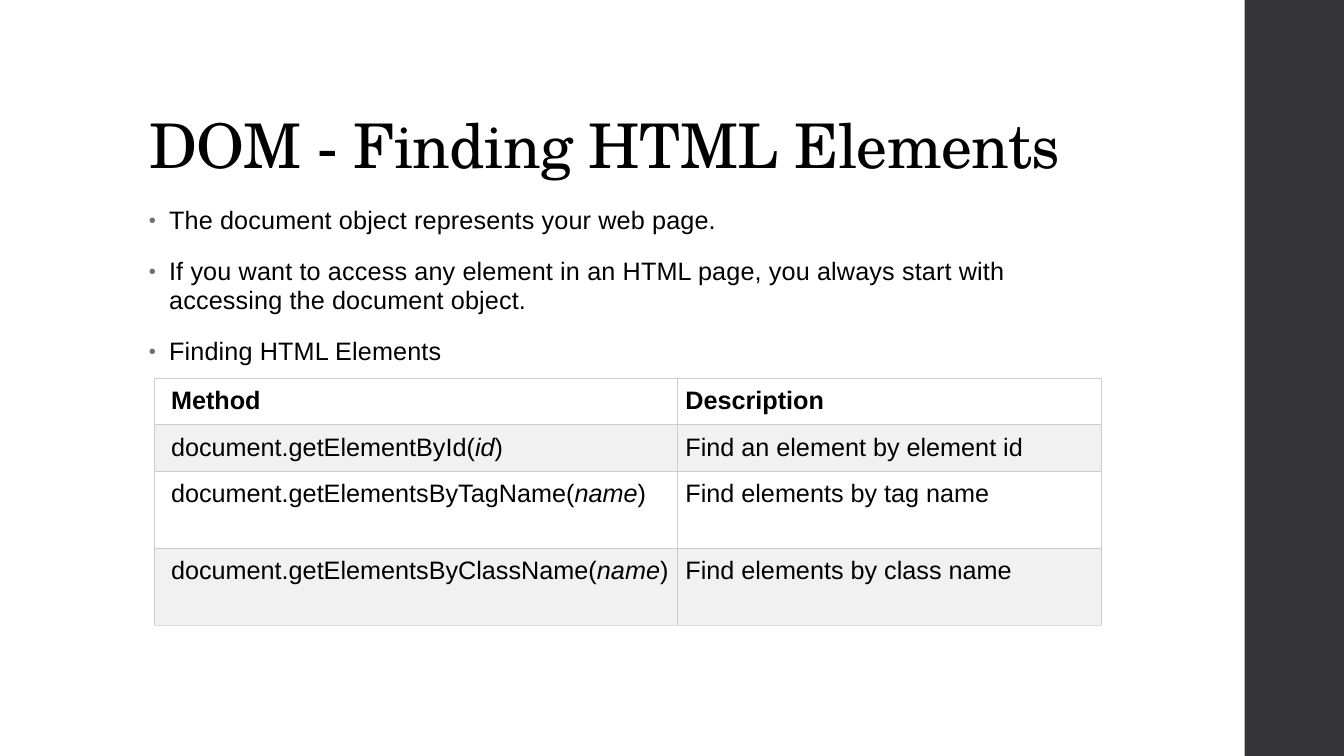
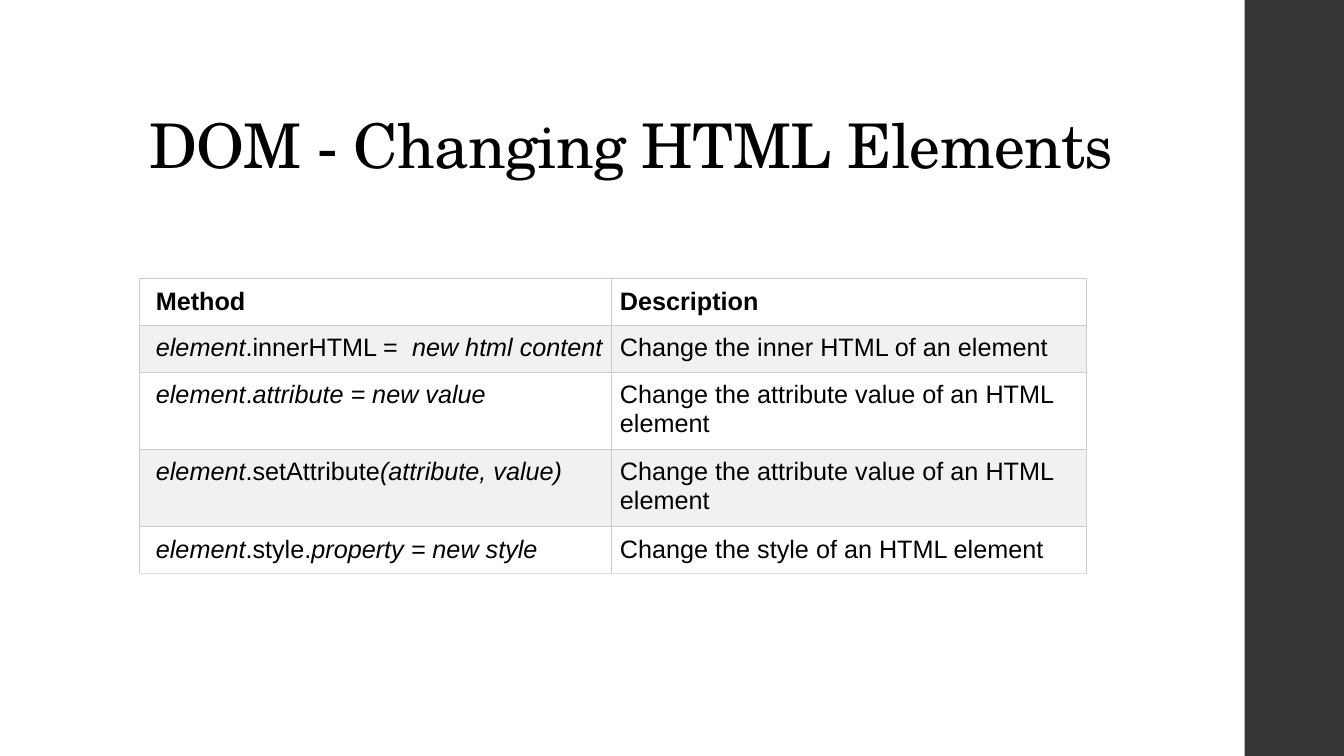
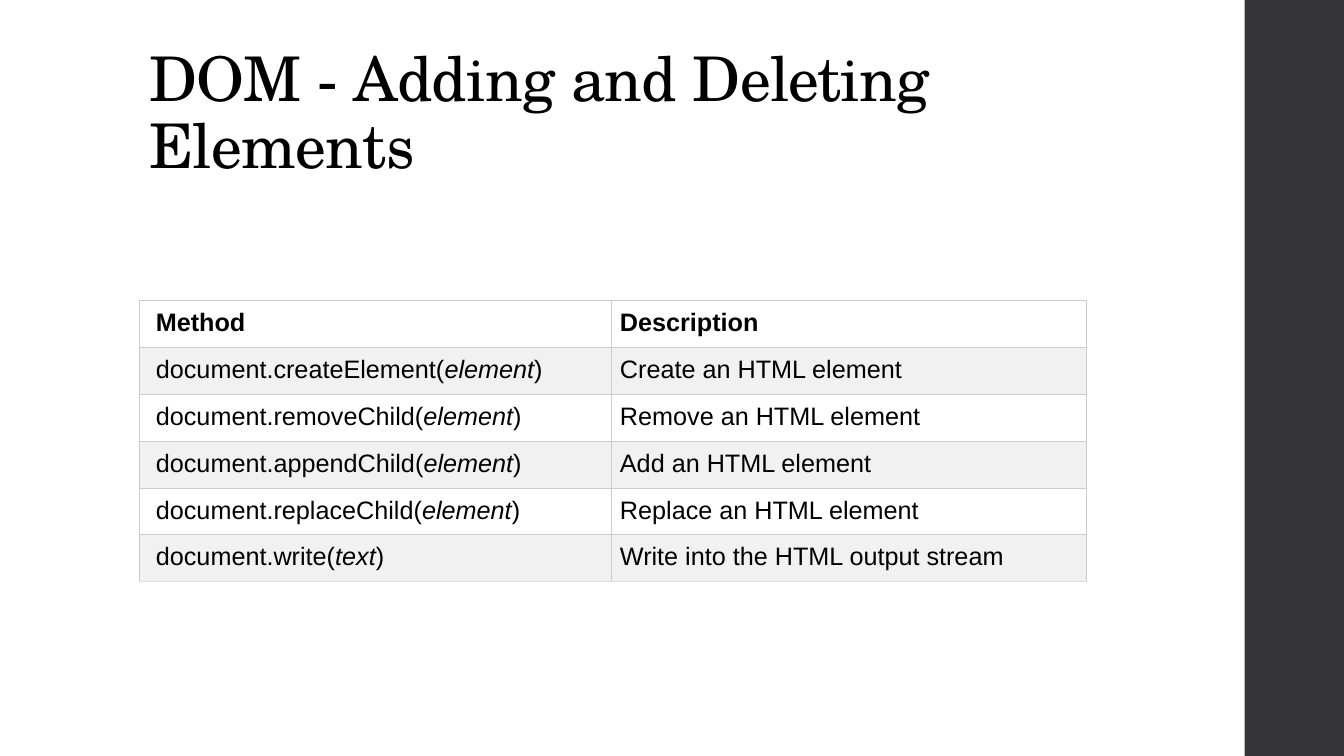
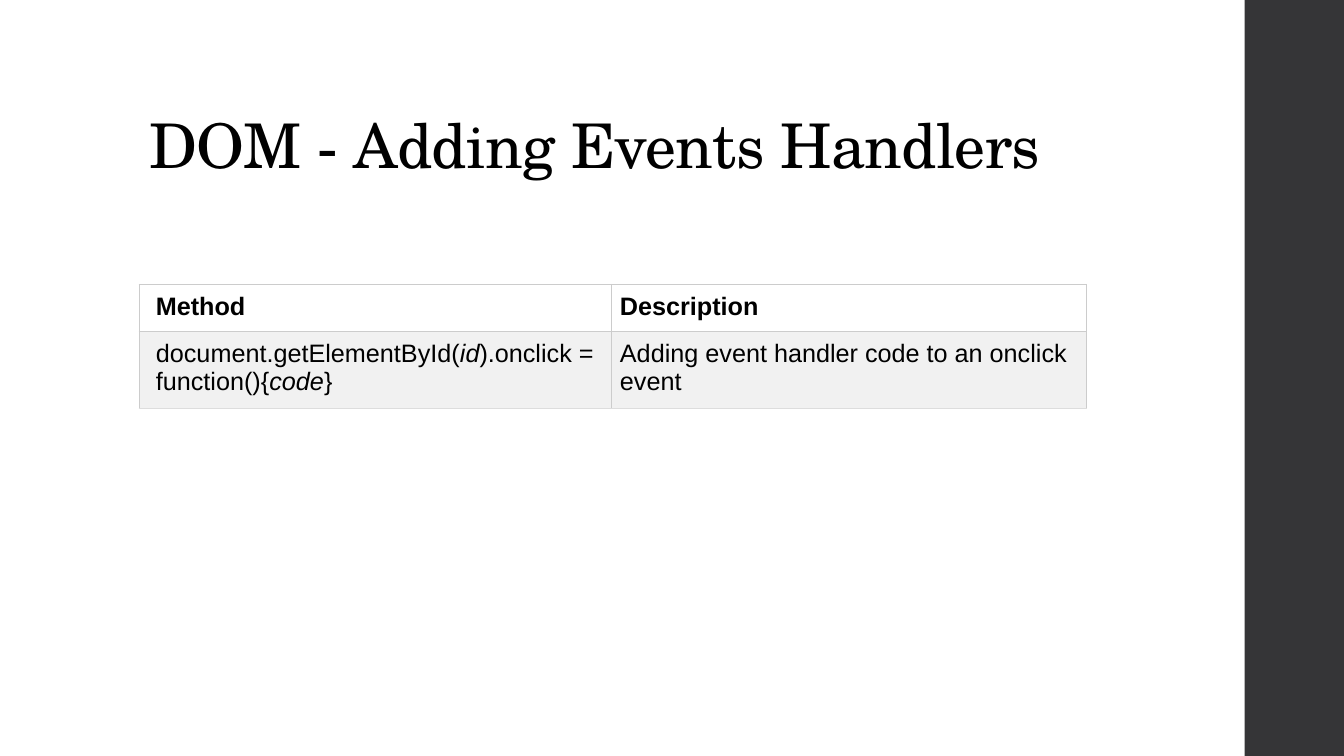
from lxml.etree import SubElement
from pptx import Presentation
from pptx.dml.color import RGBColor
from pptx.enum.shapes import MSO_SHAPE
from pptx.enum.text import MSO_ANCHOR
from pptx.oxml.ns import qn
from pptx.util import Inches, Pt


def colour(code):
    """Turn a hex string into a colour."""
    return RGBColor.from_string(code)


class Deck:
    """Hold the style and the current page; lengths are columns and rows of a 100 by 100 grid."""

    INK, PAPER, STRIPE, BAND = "000000", "FFFFFF", "F1F1F1", "353537"
    BULLET, BORDER, LAST_BORDER = "6F6F74", "CCCCCC", "DDDDDD"
    TITLE_FONT, BODY_FONT = "TeX Gyre Schola", "Arial"
    LEFT, TABLE_WIDTH = 10.35, 70.5
    ROW_HEIGHTS = {1: 6.2, 2: 10.2}

    def __init__(self):
        """Open an empty widescreen presentation."""
        self.deck = Presentation()
        self.deck.slide_width, self.deck.slide_height = Inches(13.33), Inches(7.5)
        self.page = None

    def across(self, columns):
        """Length of a number of columns."""
        return round(self.deck.slide_width * columns / 100)

    def down(self, rows):
        """Length of a number of rows."""
        return round(self.deck.slide_height * rows / 100)

    def area(self, left, top, width, height):
        """Place and size of an element on the grid."""
        return self.across(left), self.down(top), self.across(width), self.down(height)

    def add_page(self, title):
        """Start a page with its side band and title."""
        self.page = self.deck.slides.add_slide(self.deck.slide_layouts[6])
        band = self.page.shapes.add_shape(MSO_SHAPE.RECTANGLE, *self.area(92.6, 0, 7.4, 100))
        band.shadow.inherit = False
        band.fill.solid()
        band.fill.fore_color.rgb = colour(self.BAND)
        band.line.fill.background()
        frame = self.add_box(self.LEFT, 5.33, 79.5, 19.33)
        frame.vertical_anchor = MSO_ANCHOR.BOTTOM
        para = frame.paragraphs[0]
        para.line_spacing = 0.9
        self.add_span(para, title, 44, self.TITLE_FONT, spacing=-50)

    def add_box(self, left, top, width, height):
        """Add a wrapping text box and return its frame."""
        frame = self.page.shapes.add_textbox(*self.area(left, top, width, height)).text_frame
        frame.word_wrap = True
        return frame

    def add_span(self, para, text, size=18, font=BODY_FONT, bold=False, italic=False, spacing=0):
        """Add one run of text; spacing is in hundredths of a point."""
        span = para.add_run()
        span.text = text
        span.font.size, span.font.name = Pt(size), font
        span.font.bold, span.font.italic = bold, italic
        span.font.color.rgb = colour(self.INK)
        if spacing:
            span.font._element.set("spc", str(spacing))

    def add_bullets(self, lines):
        """Add the bulleted body text."""
        frame = self.add_box(self.LEFT, 26.67, self.TABLE_WIDTH, 63.47)
        for index, line in enumerate(lines):
            para = frame.add_paragraph() if index else frame.paragraphs[0]
            para.line_spacing = 0.95
            para.space_before, para.space_after = Pt(14 if index else 0), Pt(2)
            props = para._p.get_or_add_pPr()
            indent = self.across(1.5)
            props.set("marL", str(indent))
            props.set("indent", str(-indent))
            SubElement(SubElement(props, qn("a:buClr")), qn("a:srgbClr"), val=self.BULLET)
            SubElement(props, qn("a:buSzPct"), val="80000")
            SubElement(props, qn("a:buFont"), typeface=self.BODY_FONT)
            SubElement(props, qn("a:buChar"), char="•")
            self.add_span(para, line, spacing=10)

    def add_borders(self, cell, last):
        """Draw the four thin borders of a cell."""
        props = cell._tc.get_or_add_tcPr()
        for side in "LRTB":
            border = SubElement(props, qn(f"a:ln{side}"), w=str(Pt(0.75)))
            shade = self.LAST_BORDER if last and side == "B" else self.BORDER
            SubElement(SubElement(border, qn("a:solidFill")), qn("a:srgbClr"), val=shade)

    def add_methods(self, top, rows, left=LEFT, first_width=35.18):
        """Add a table of methods, each row a method, a description and its count of lines."""
        rows = [("Method", "Description", 1), *rows]
        heights = [self.ROW_HEIGHTS[lines] for _, _, lines in rows]
        place = self.area(left, top, self.TABLE_WIDTH, sum(heights))
        table = self.page.shapes.add_table(len(rows), 2, *place).table
        table.first_row = table.horz_banding = False
        table.columns[0].width = self.across(first_width)
        table.columns[1].width = self.across(self.TABLE_WIDTH - first_width)
        for index, (*texts, _) in enumerate(rows):
            table.rows[index].height = self.down(heights[index])
            for column, text in enumerate(texts):
                cell = table.cell(index, column)
                cell.margin_left = self.across(0.6 if column else 1.25)
                cell.margin_right = self.across(0.6)
                cell.margin_top = cell.margin_bottom = self.down(1.1)
                self.add_borders(cell, index == len(rows) - 1)
                cell.fill.solid()
                cell.fill.fore_color.rgb = colour(self.STRIPE if index % 2 else self.PAPER)
                para = cell.text_frame.paragraphs[0]
                for part, piece in enumerate(text.split("*")):
                    if piece:
                        self.add_span(para, piece, bold=index == 0, italic=part % 2 == 1)


def main():
    """Build the four pages and save them."""
    show = Deck()

    show.add_page("DOM - Finding HTML Elements")
    show.add_bullets([
        "The document object represents your web page.",
        "If you want to access any element in an HTML page, you always start with "
        "accessing the document object.",
        "Finding HTML Elements",
    ])
    show.add_methods(50, [
        ("document.getElementById(*id*)", "Find an element by element id", 1),
        ("document.getElementsByTagName(*name*)", "Find elements by tag name", 2),
        ("document.getElementsByClassName(*name*)", "Find elements by class name", 2),
    ], left=11.48, first_width=38.92)

    show.add_page("DOM - Changing HTML Elements")
    show.add_methods(36.9, [
        ("*element*.innerHTML =  *new html content*", "Change the inner HTML of an element", 1),
        ("*element*.*attribute = new value*", "Change the attribute value of an HTML element", 2),
        ("*element*.setAttribute*(attribute, value)*",
         "Change the attribute value of an HTML element", 2),
        ("*element*.style.*property = new style*", "Change the style of an HTML element", 1),
    ])

    show.add_page("DOM - Adding and Deleting Elements")
    show.add_methods(39.75, [
        ("document.createElement(*element*)", "Create an HTML element", 1),
        ("document.removeChild(*element*)", "Remove an HTML element", 1),
        ("document.appendChild(*element*)", "Add an HTML element", 1),
        ("document.replaceChild(*element*)", "Replace an HTML element", 1),
        ("document.write(*text*)", "Write into the HTML output stream", 1),
    ])

    show.add_page("DOM - Adding Events Handlers")
    show.add_methods(37.6, [
        ("document.getElementById(*id*).onclick = function(){*code*}",
         "Adding event handler code to an onclick event", 2),
    ])

    show.deck.save("out.pptx")


if __name__ == "__main__":
    main()
